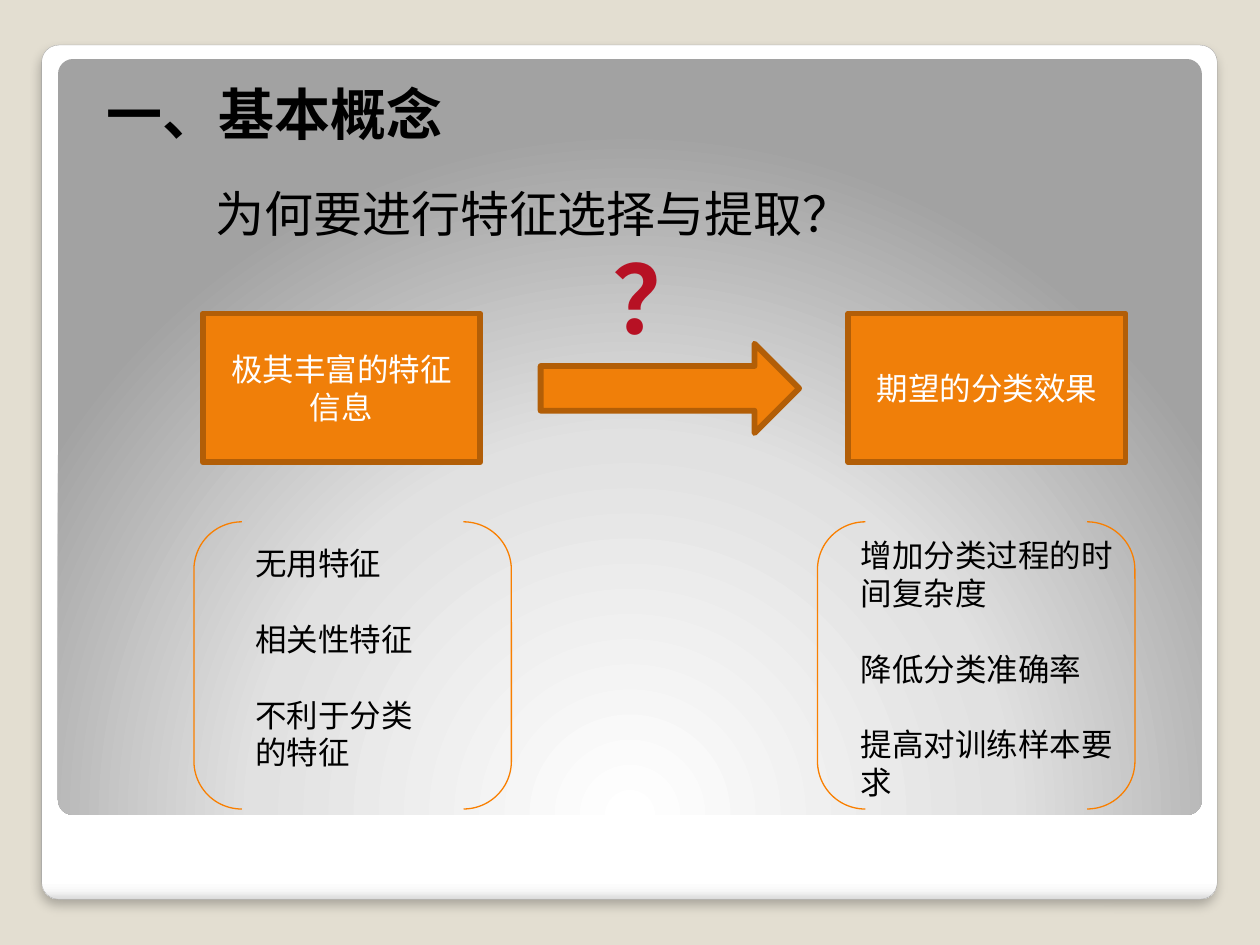
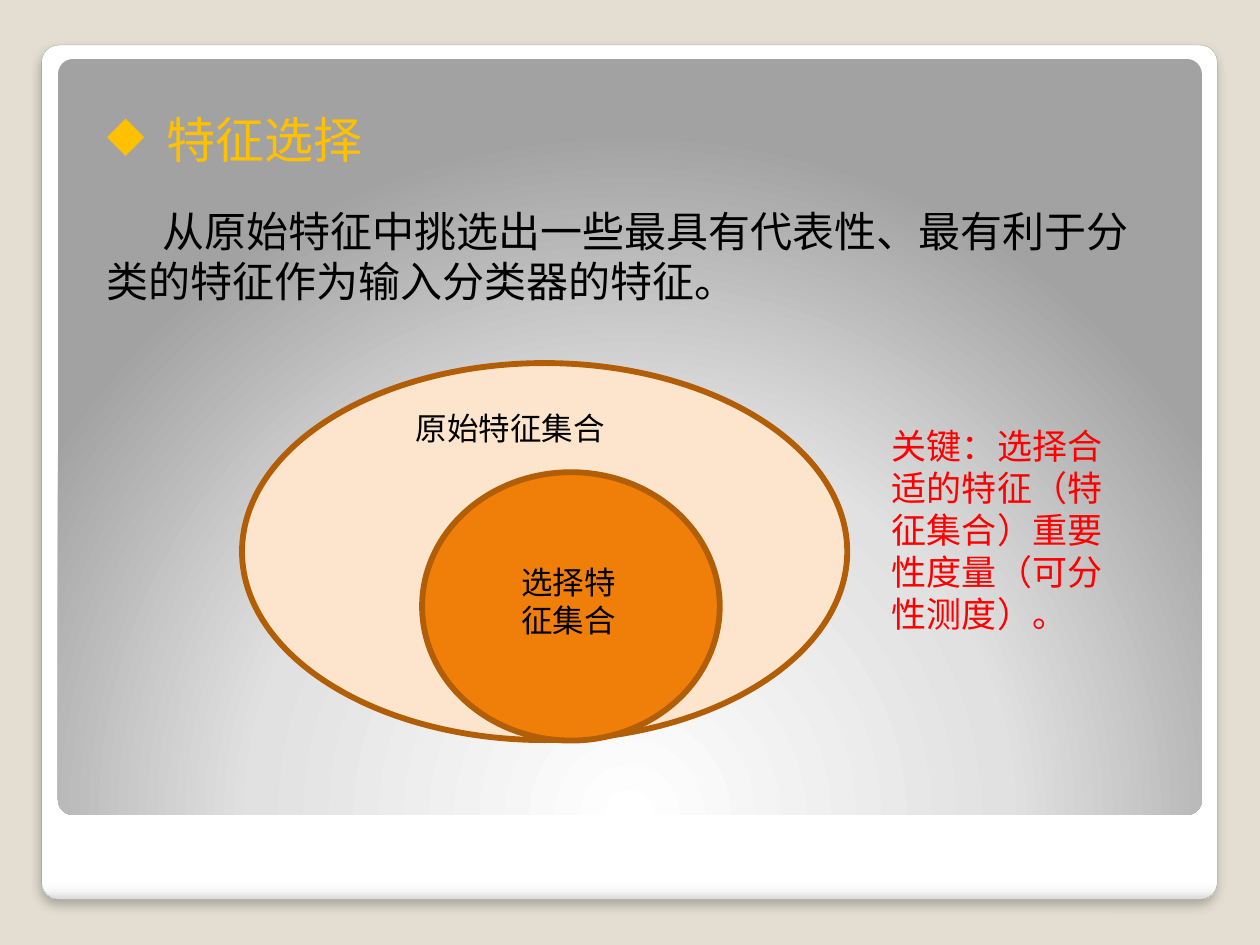
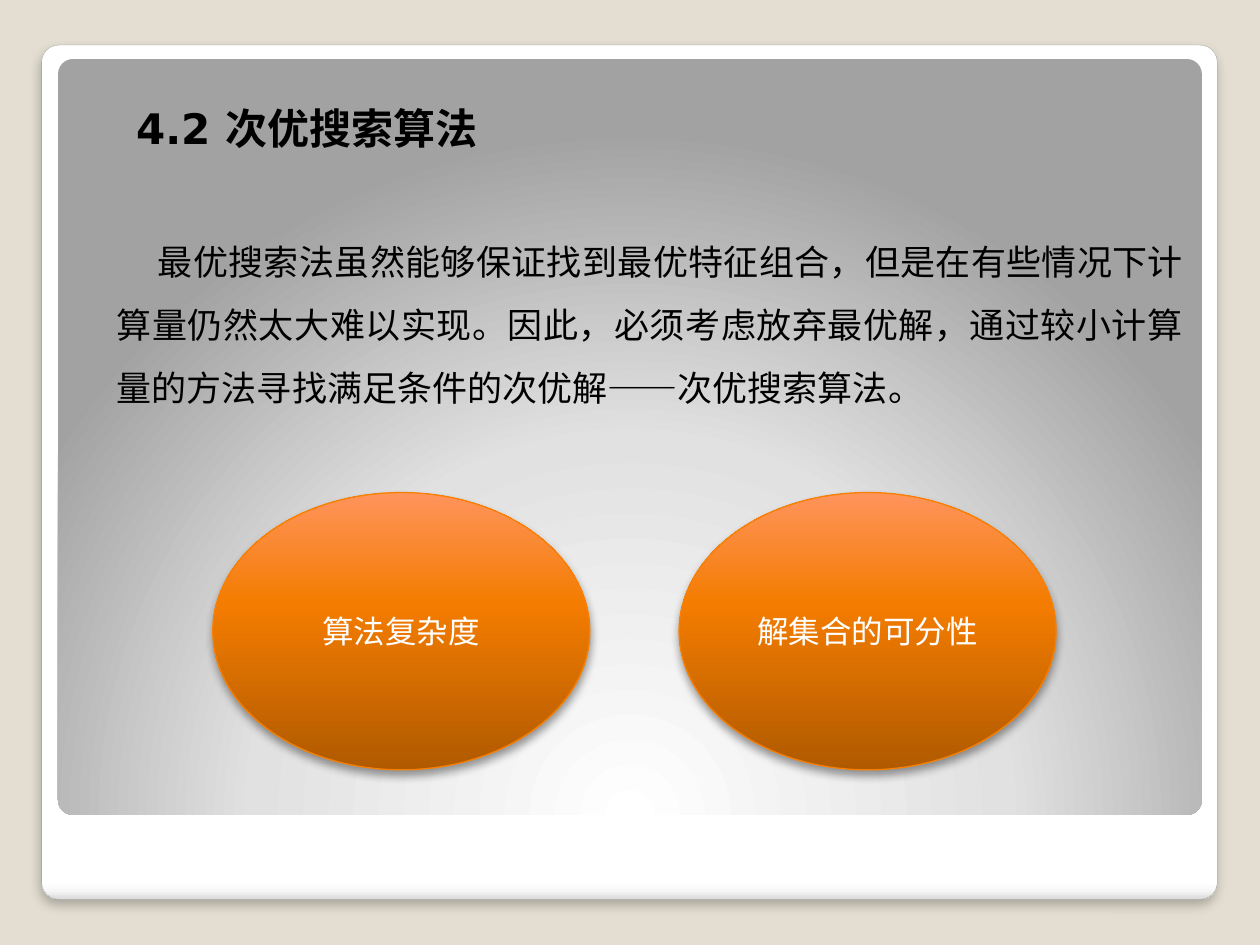
from pptx import Presentation
from pptx.dml.color import RGBColor
from pptx.enum.lang import MSO_LANGUAGE_ID
from pptx.enum.shapes import MSO_SHAPE
from pptx.enum.text import MSO_ANCHOR, MSO_AUTO_SIZE, PP_ALIGN
from pptx.oxml import parse_xml
from pptx.oxml.ns import nsdecls, qn
from pptx.util import Cm, Pt

FONT = "DejaVu Sans"
BLACK, WHITE, RED, GOLD = "000000", "FFFFFF", "FF0000", "FFC000"
ORANGE, BROWN, BRIGHT, PEACH = "F07F09", "B25E07", "F97F00", "FDE5CD"
CRIMSON, SAND, GREY = "B71124", "E3DED1", "A4A4A4"

SHEEN = [(0, WHITE), (98, WHITE), (99, "F7F7F7"), (100, "DADADA")]
GLOW = [(0, WHITE), (55, "E1E1E1"), (100, "A2A2A2")]
EMBER = [(0, "B05A00"), (60, "F47C00"), (100, "FF945C")]
DOWN = '<a:lin ang="5400000" scaled="0"/>'
UP = '<a:lin ang="16200000" scaled="0"/>'
RADIAL = ('<a:path path="circle"><a:fillToRect l="50000" t="175000" '
          'r="50000" b="-75000"/></a:path>')

HEADS = [
    dict(title="一、基本概念", spot=(1.9, 1.47, 12, 1.63), size=32, bold=True,
         body="为何要进行特征选择与提取？", place=(4.09, 3.58, 12.4, 1.45), points=28),
    dict(title="特征选择", spot=(1.9, 2.08, 11.6, 1.45), size=28, color=GOLD,
         bullet="◆",
         body="从原始特征中挑选出一些最具有代表性、最有利于分类的特征作为输入分类器的特征。",
         place=(1.9, 4.01, 21.8, 2.31), points=24, first=1.13),
    dict(title="4.2 次优搜索算法", spot=(2.49, 1.93, 8, 1.28), size=24, bold=True,
         body="最优搜索法虽然能够保证找到最优特征组合，但是在有些情况下计算量仍然太大难以实现。"
              "因此，必须考虑放弃最优解，通过较小计算量的方法寻找满足条件的次优解——次优搜索算法。",
         place=(2.1, 4.29, 22, 4.03), points=20, first=0.83,
         align=PP_ALIGN.JUSTIFY, lines=1.5),
]
STAGES = [(4.09, "极其丰富的特征\n信息"), (17.1, "期望的分类效果")]
LISTS = [
    (3.91, (4.9, 10.85, 4.4, 4.88), ["无用特征", "相关性特征", "不利于分类\v的特征"]),
    (16.48, (17.1, 10.69, 6, 5.64),
     ["增加分类过程的时间复杂度", "降低分类准确率", "提高对训练样本要求"]),
]
SETS = [((4.88, 7.32, 12.2, 7.6), PEACH), ((8.51, 9.52, 6, 5.41), ORANGE)]
NOTES = [
    ((8.13, 8.13, 4.6, 1.02), "原始特征集合", 18, BLACK),
    ((10.26, 11.23, 3.4, 1.8), "选择特\n征集合", 18, BLACK),
    ((17.73, 8.43, 5.41, 4.52), "关键：选择合适的特征（特征集合）重要性度量（可分性测度）。", 20, RED),
]
GOALS = [(4.29, "算法复杂度"), (13.69, "解集合的可分性")]


def rgb(code):
    return RGBColor.from_string(code)


def style(frame, words, size, color=BLACK, bold=False, align=PP_ALIGN.LEFT,
          gap=0, lines=1):
    frame.text = words
    frame.word_wrap = True
    frame.auto_size = MSO_AUTO_SIZE.NONE
    for i, par in enumerate(frame.paragraphs):
        par.alignment = align
        par.line_spacing = lines
        par.space_before = Pt(gap if i else 0)
        font = par.font
        font.name, font.size, font.bold = FONT, Pt(size), bold
        font.color.rgb = rgb(color)
        font.language_id = MSO_LANGUAGE_ID.SIMPLIFIED_CHINESE


def indent(par, left, first, bullet=None):
    props = par._p.get_or_add_pPr()
    props.set("marL", str(Cm(left)))
    props.set("indent", str(Cm(first)))
    tag = f'buChar char="{bullet}"' if bullet else "buNone"
    mark = parse_xml(f'<a:{tag} {nsdecls("a")}/>')
    props.insert_element_before(mark, "a:tabLst", "a:defRPr")


def note(slide, box, words, size, color=BLACK, **rest):
    shape = slide.shapes.add_textbox(*map(Cm, box))
    style(shape.text_frame, words, size, color, **rest)


def draw(slide, kind, box, fill=None, line=None, width=3.35, words=""):
    shape = slide.shapes.add_shape(kind, *map(Cm, box))
    shape.shadow.inherit = False
    if fill:
        shape.fill.solid()
        shape.fill.fore_color.rgb = rgb(fill)
    else:
        shape.fill.background()
    if line:
        shape.line.color.rgb = rgb(line)
        shape.line.width = Pt(width)
    else:
        shape.line.fill.background()
    if words:
        style(shape.text_frame, words, 18, WHITE, align=PP_ALIGN.CENTER)
        shape.text_frame.vertical_anchor = MSO_ANCHOR.MIDDLE
    return shape


def blend(shape, stops, course):
    props = shape._element.spPr
    marks = "".join(f'<a:gs pos="{pos * 1000}"><a:srgbClr val="{code}"/></a:gs>'
                    for pos, code in stops)
    grad = parse_xml(f'<a:gradFill {nsdecls("a")} rotWithShape="1">'
                     f'<a:gsLst>{marks}</a:gsLst>{course}</a:gradFill>')
    props.replace(props.find(qn("a:noFill")), grad)


def shade(shape, alpha, blur, dist):
    effects = shape._element.spPr.find(qn("a:effectLst"))
    effects.append(parse_xml(
        f'<a:outerShdw {nsdecls("a")} blurRad="{Pt(blur)}" dist="{Pt(dist)}" '
        f'dir="5400000" algn="t" rotWithShape="0"><a:srgbClr val="{BLACK}">'
        f'<a:alpha val="{alpha * 1000}"/></a:srgbClr></a:outerShdw>'))


def frame(deck, slide):
    master = deck.slide_master
    fill = master.background.fill
    fill.solid()
    fill.fore_color.rgb = rgb(SAND)
    kind = MSO_SHAPE.ROUNDED_RECTANGLE
    card = draw(slide, kind, (0.84, 0.91, 23.7, 17.22), line=GREY, width=0.16)
    blend(card, SHEEN, DOWN)
    shade(card, 25, 6, 4)
    panel = draw(slide, kind, (1.17, 1.19, 23.06, 15.24))
    blend(panel, GLOW, RADIAL)
    for i, shape in enumerate((card, panel)):
        shape.adjustments[0] = 0.02
        master.shapes._spTree.insert(2 + i, shape._element)


def settle(shape, box):
    shape.left, shape.top, shape.width, shape.height = map(Cm, box)
    shape.text_frame.vertical_anchor = MSO_ANCHOR.TOP


def start(deck, head):
    slide = deck.slides.add_slide(deck.slide_layouts[1])
    title, body = slide.placeholders
    settle(title, head["spot"])
    style(title.text_frame, head["title"], head["size"],
          head.get("color", BLACK), head.get("bold", False))
    if "bullet" in head:
        indent(title.text_frame.paragraphs[0], 1.21, -1.21, head["bullet"])
    settle(body, head["place"])
    style(body.text_frame, head["body"], head["points"],
          align=head.get("align", PP_ALIGN.LEFT), lines=head.get("lines", 1))
    indent(body.text_frame.paragraphs[0], 0, head.get("first", 0))
    return slide


def concept(slide):
    for left, words in STAGES:
        draw(slide, MSO_SHAPE.RECTANGLE, (left, 6.32, 5.59, 3), ORANGE, BROWN,
             words=words)
    draw(slide, MSO_SHAPE.RIGHT_ARROW, (10.9, 6.93, 5.21, 1.8), ORANGE, BROWN)
    note(slide, (12.09, 4.72, 2.44, 2.57), "？", 54, CRIMSON, bold=True,
         align=PP_ALIGN.CENTER)
    for left, box, items in LISTS:
        note(slide, box, "\n".join(items), 18, gap=21.6)
        draw(slide, MSO_SHAPE.DOUBLE_BRACKET, (left, 10.52, 6.4, 5.79),
             line=BRIGHT, width=0.75)


def choice(slide):
    for box, fill in SETS:
        draw(slide, MSO_SHAPE.OVAL, box, fill, BROWN)
    for item in NOTES:
        note(slide, *item)


def search(slide):
    for left, words in GOALS:
        oval = draw(slide, MSO_SHAPE.OVAL, (left, 9.93, 7.6, 5.59),
                    line=BRIGHT, width=0.75, words=words)
        blend(oval, EMBER, UP)
        shade(oval, 40, 5.2, 3)


def main():
    deck = Presentation()
    deck.slide_width, deck.slide_height = Cm(25.4), Cm(19.05)
    slides = [start(deck, head) for head in HEADS]
    frame(deck, slides[0])
    for fill, slide in zip((concept, choice, search), slides):
        fill(slide)
    deck.save("out.pptx")


if __name__ == "__main__":
    main()
